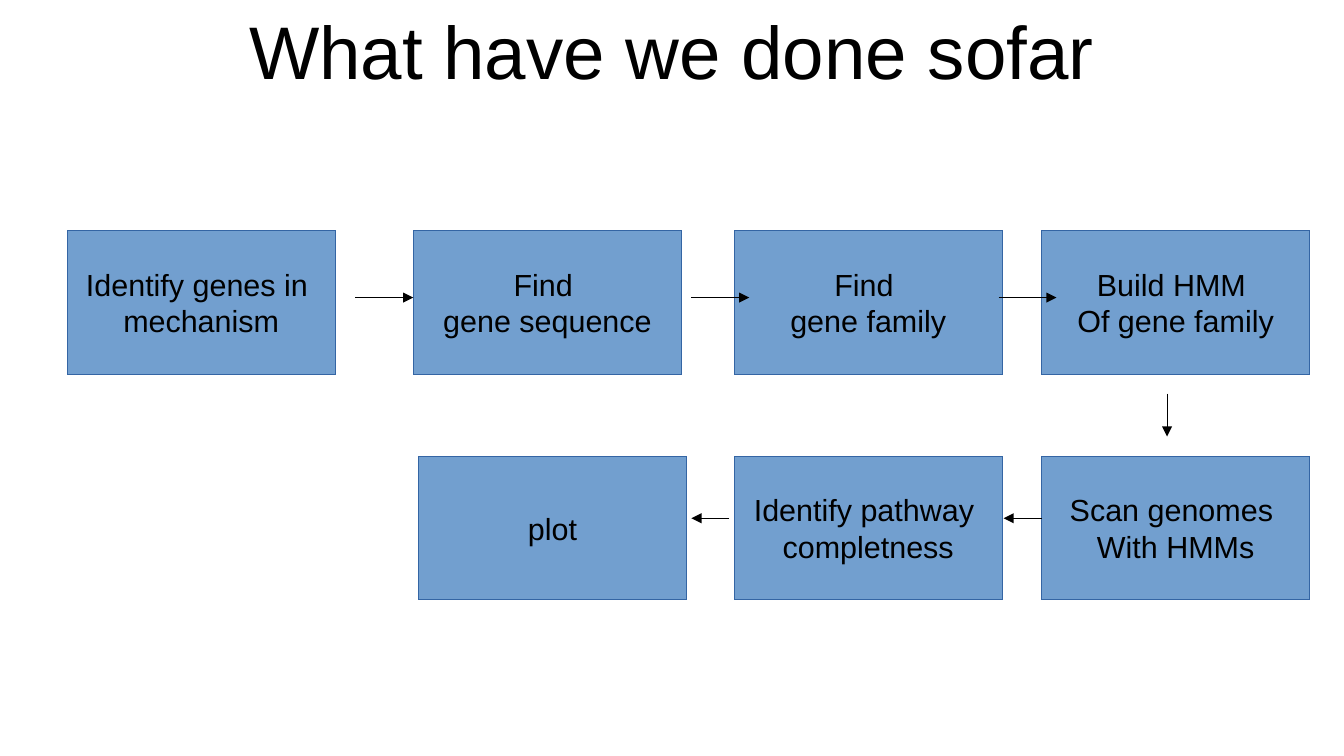
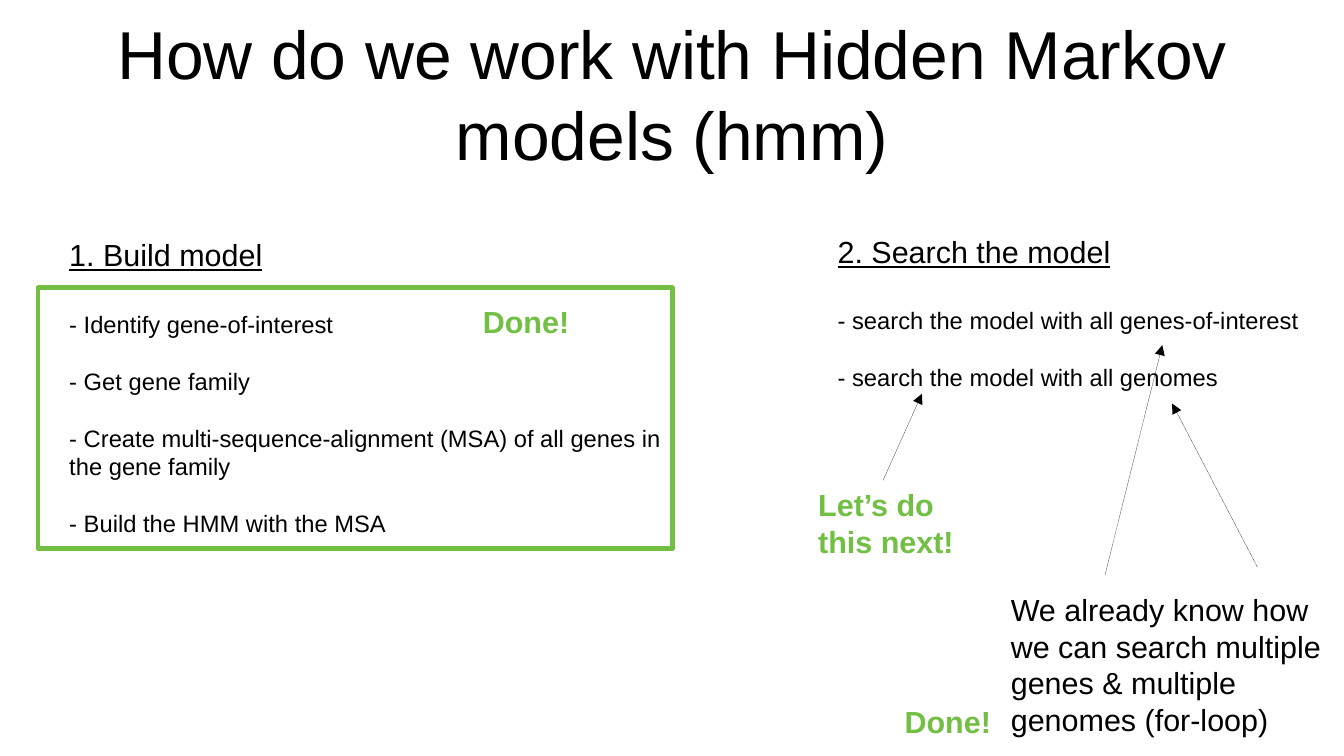
"""Build two slides about the hidden Markov model workflow."""
from dataclasses import dataclass
from typing import Optional

from lxml import etree
from pptx import Presentation
from pptx.dml.color import RGBColor
from pptx.enum.shapes import MSO_CONNECTOR, MSO_SHAPE
from pptx.enum.text import MSO_ANCHOR, PP_ALIGN
from pptx.oxml.ns import qn
from pptx.util import Pt

RECTANGLE = MSO_SHAPE.RECTANGLE
STRAIGHT = MSO_CONNECTOR.STRAIGHT
TOP, MIDDLE = MSO_ANCHOR.TOP, MSO_ANCHOR.MIDDLE
LEFT, CENTER = PP_ALIGN.LEFT, PP_ALIGN.CENTER

COLORS = {"text": "000000", "box": "729FCF", "box_line": "3465A4", "done": "72BF44"}
FONT = "Arial"
SLIDE_WIDTH, SLIDE_HEIGHT = 793.44, 446.4
TITLE_LEFT, TITLE_WIDTH, TITLE_HEIGHT = 39.6, 714.24, 74.16
STEP_WIDTH, STEP_HEIGHT = 158.4, 85
UPPER_ROW, LOWER_ROW = 136, 269.3
LINE_PITCH = 1.2
HEADING_SIZE, ITEM_SIZE = 18, 14
BODY_MARGINS = {"margin_left": Pt(7.2), "margin_right": Pt(7.2),
                "margin_top": Pt(3.6), "margin_bottom": Pt(3.6)}
NO_MARGINS = dict.fromkeys(BODY_MARGINS, Pt(0))


@dataclass(frozen=True)
class Area:
    """A rectangle on the slide, in points."""
    left: float
    top: float
    width: float
    height: float

    def lengths(self) -> tuple:
        """Return the four lengths for a shape call."""
        return Pt(self.left), Pt(self.top), Pt(self.width), Pt(self.height)


@dataclass(frozen=True)
class TextLine:
    """One paragraph and its format."""
    text: str
    size: float = HEADING_SIZE
    color: str = "text"
    bold: bool = False
    underline: bool = False
    space_before: float = 0


@dataclass(frozen=True)
class Step:
    """One box of the workflow."""
    left: float
    top: float
    lines: tuple


@dataclass(frozen=True)
class Arrow:
    """A straight arrow between two points."""
    start: tuple
    end: tuple


@dataclass(frozen=True)
class Note:
    """A text box with its paragraphs."""
    area: Area
    lines: tuple


def item_list(heading: str, items: tuple) -> tuple:
    """Return an underlined heading followed by spaced items."""
    gaps = [HEADING_SIZE * LINE_PITCH] + [ITEM_SIZE * LINE_PITCH] * (len(items) - 1)
    return (TextLine(heading, underline=True),
            *(TextLine(f"- {item}", ITEM_SIZE, space_before=gap)
              for item, gap in zip(items, gaps)))


def done_note(left: float, top: float, width: float, height: float, text: str) -> Note:
    """Return a bold green remark."""
    return Note(Area(left, top, width, height), (TextLine(text, color="done", bold=True),))


STEPS = (
    Step(39.6, UPPER_ROW, ("Identify genes in ", "mechanism")),
    Step(244, UPPER_ROW, ("Find ", "gene sequence")),
    Step(433.4, UPPER_ROW, ("Find ", "gene family")),
    Step(614.9, UPPER_ROW, ("Build HMM ", "Of gene family")),
    Step(614.9, LOWER_ROW, ("Scan genomes ", "With HMMs")),
    Step(433.4, LOWER_ROW, ("Identify pathway ", "completness")),
    Step(247, LOWER_ROW, ("plot",)),
)
STEP_ARROWS = (
    *(Arrow((left, 175.7), (left + 34.2, 175.7)) for left in (209.8, 408.2, 589.5)),
    Arrow((689, 232.5), (689, 257.8)),
    *(Arrow((right, 306), (right - 22.4, 306)) for right in (614.9, 430.6)),
)
MODEL_LISTS = (
    Note(Area(33.8, 136, 368.6, 188.6), item_list("1. Build model", (
        "Identify gene-of-interest",
        "Get gene family",
        "Create multi-sequence-alignment (MSA) of all genes in the gene family",
        "Build the HMM with the MSA"))),
    Note(Area(487.4, 134, 368.6, 188.6), item_list("2. Search the model", (
        "search the model with all genes-of-interest",
        "search the model with all genomes"))),
)
DONE_FRAME = Area(22.5, 170, 374.4, 154)
REMARKS = (
    done_note(278, 175.7, 73.4, 47.5, "Done!"),
    Note(Area(589.7, 345.6, 203.7, 108), (TextLine(
        "We already know how we can search multiple genes & multiple genomes (for-loop)"),)),
    done_note(527, 411.8, 73.4, 47.5, "Done!"),
    done_note(476, 283.7, 96.5, 67.7, "Let’s do this next!"),
)
REMARK_ARROWS = (
    Arrow((652.3, 339.8), (686.2, 203.8)),
    Arrow((742.3, 334.8), (692, 238.3)),
    Arrow((521.3, 283.7), (544.3, 232.5)),
)


def rgb(name: str) -> RGBColor:
    """Look up a named colour."""
    return RGBColor.from_string(COLORS[name])


def set_values(target, values: dict) -> None:
    """Set every attribute in the dict on the target."""
    for name, value in values.items():
        setattr(target, name, value)


def remove_style(shape) -> None:
    """Drop the theme style, so that outlines stay hairlines."""
    style = shape.element.find(qn("p:style"))
    if style is not None:
        shape.element.remove(style)


def write_text(shape, lines: tuple, alignment=LEFT, anchor=TOP,
               margins: dict = BODY_MARGINS, wrap: bool = True) -> None:
    """Write the paragraphs into a shape."""
    frame = shape.text_frame
    set_values(frame, {"word_wrap": wrap, "vertical_anchor": anchor, **margins})
    for index, line in enumerate(lines):
        paragraph = frame.add_paragraph() if index else frame.paragraphs[0]
        set_values(paragraph, {"alignment": alignment,
                               "space_before": Pt(line.space_before)})
        run = paragraph.add_run()
        run.text = line.text
        set_values(run.font, {"name": FONT, "size": Pt(line.size),
                              "bold": line.bold, "underline": line.underline})
        run.font.color.rgb = rgb(line.color)


def add_rectangle(slide, area: Area, line: str, fill: Optional[str] = None,
                  line_width: Optional[float] = None):
    """Draw a plain rectangle and return it."""
    shape = slide.shapes.add_shape(RECTANGLE, *area.lengths())
    remove_style(shape)
    shape.shadow.inherit = False
    if fill:
        shape.fill.solid()
        shape.fill.fore_color.rgb = rgb(fill)
    else:
        shape.fill.background()
    shape.line.color.rgb = rgb(line)
    if line_width:
        shape.line.width = Pt(line_width)
    return shape


def add_step(slide, step: Step) -> None:
    """Draw one workflow box with its text."""
    area = Area(step.left, step.top, STEP_WIDTH, STEP_HEIGHT)
    shape = add_rectangle(slide, area, "box_line", "box")
    write_text(shape, tuple(map(TextLine, step.lines)), CENTER, MIDDLE, wrap=False)


def add_arrow(slide, arrow: Arrow) -> None:
    """Draw a thin arrow with a triangular head."""
    points = (Pt(value) for value in (*arrow.start, *arrow.end))
    connector = slide.shapes.add_connector(STRAIGHT, *points)
    remove_style(connector)
    connector.line.color.rgb = rgb("text")
    properties = connector.element.spPr
    etree.SubElement(properties.find(qn("a:ln")), qn("a:tailEnd"), type="triangle")
    etree.SubElement(properties, qn("a:effectLst"))


def add_note(slide, note: Note) -> None:
    """Draw a text box."""
    write_text(slide.shapes.add_textbox(*note.area.lengths()), note.lines)


def add_titled_slide(presentation, title: str, top: float, size: float):
    """Add a blank slide with a centred title and return it."""
    slide = presentation.slides.add_slide(presentation.slide_layouts[6])
    area = Area(TITLE_LEFT, top, TITLE_WIDTH, TITLE_HEIGHT)
    shape = slide.shapes.add_textbox(*area.lengths())
    write_text(shape, (TextLine(title, size),), CENTER, MIDDLE, NO_MARGINS)
    return slide


def build_workflow(presentation) -> None:
    """Build the slide with the workflow so far."""
    slide = add_titled_slide(presentation, "What have we done sofar", -7.9, 44)
    for step in STEPS:
        add_step(slide, step)
    for arrow in STEP_ARROWS:
        add_arrow(slide, arrow)


def build_models(presentation) -> None:
    """Build the slide about building and searching models."""
    slide = add_titled_slide(
        presentation, "How do we work with Hidden Markov models (hmm)", 18, 40)
    for note in MODEL_LISTS:
        add_note(slide, note)
    add_rectangle(slide, DONE_FRAME, "done", line_width=2.83)
    for note in REMARKS:
        add_note(slide, note)
    for arrow in REMARK_ARROWS:
        add_arrow(slide, arrow)


def main() -> None:
    """Build and save the presentation."""
    presentation = Presentation()
    set_values(presentation, {"slide_width": Pt(SLIDE_WIDTH),
                              "slide_height": Pt(SLIDE_HEIGHT)})
    build_workflow(presentation)
    build_models(presentation)
    presentation.save("out.pptx")


if __name__ == "__main__":
    main()
